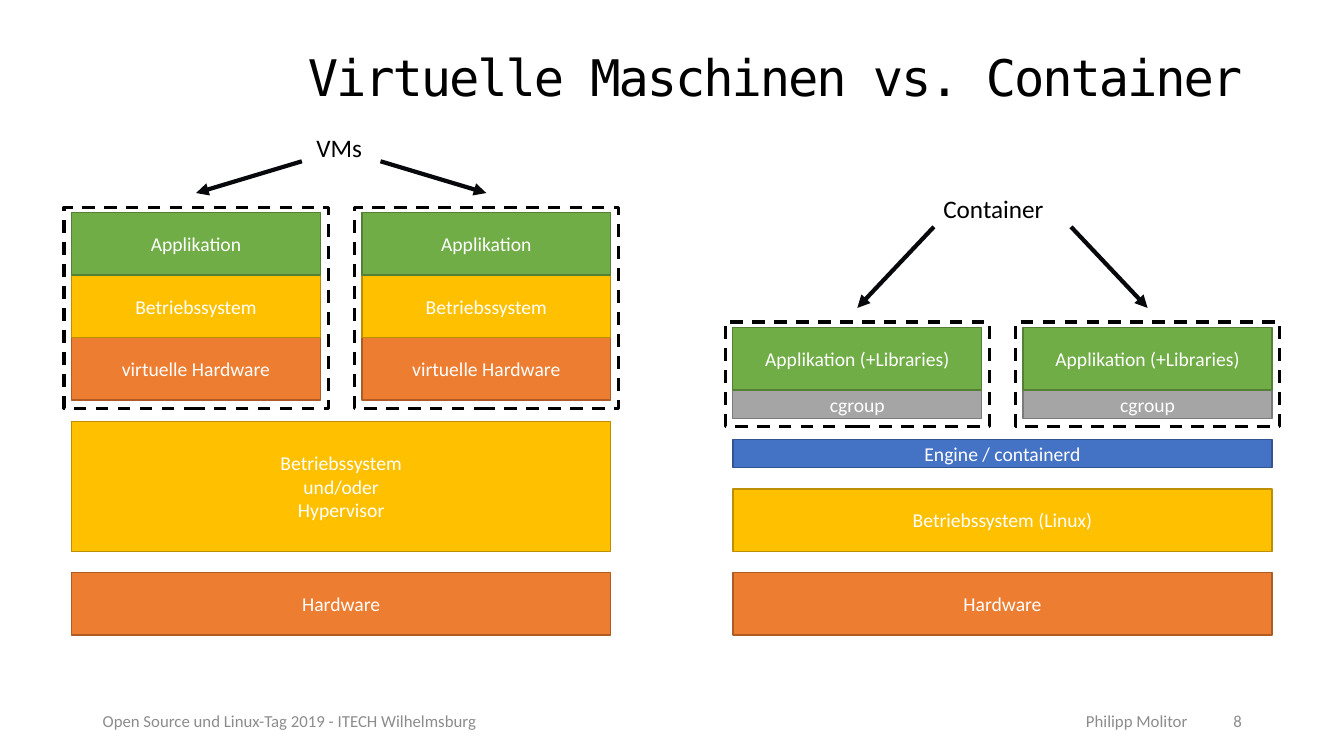
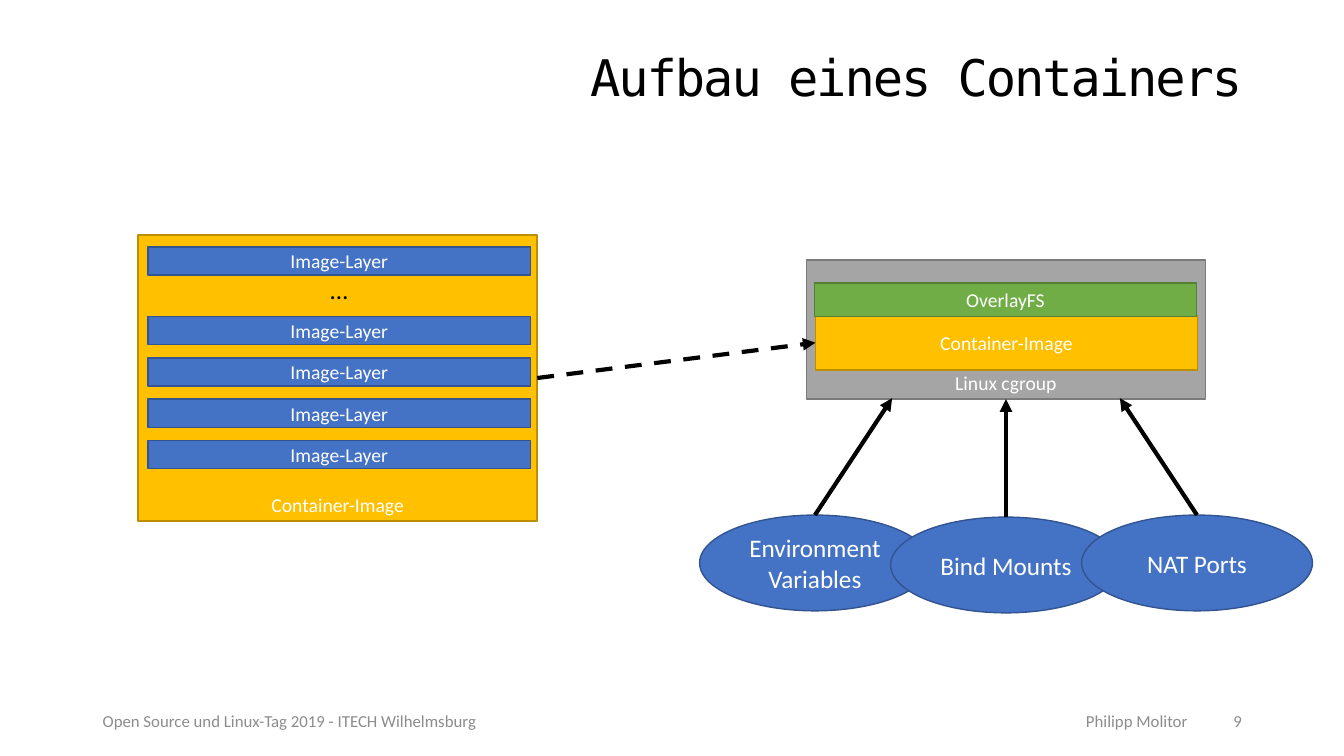
from dataclasses import dataclass
from typing import NamedTuple, Optional, Union

from lxml import etree
from pptx import Presentation, util as u
from pptx.dml.color import RGBColor
from pptx.enum import dml, shapes, text
from pptx.oxml.ns import qn


# Theme
class Paint(NamedTuple):
    fill: str
    edge: str


@dataclass(frozen=True)
class Theme:
    body_font: str = "Calibri"
    title_font: str = "DejaVu Sans Mono"
    black: str = "000000"
    arrow: str = "07080B"
    muted: str = "8C8C8C"
    white: str = "FFFFFF"
    orange: Paint = Paint("ED7D31", "AF5C24")
    yellow: Paint = Paint("FFC000", "BD8E00")
    green: Paint = Paint("70AD47", "538035")
    grey: Paint = Paint("A5A5A5", "7A7A7A")
    blue: Paint = Paint("4472C4", "325491")
    title_size: float = 36
    label_size: float = 18
    block_size: float = 14
    footer_size: float = 12


THEME = Theme()

# Grid: 133.33 columns by 75 rows of square cells
CELL = u.Inches(0.1)
COLUMNS, ROWS = 133.33, 75


def cells(count: float) -> int:
    return round(count * CELL)


class Box(NamedTuple):
    column: float
    row: float
    width: float
    height: float

    def lengths(self) -> list[int]:
        return [cells(value) for value in self]


class Point(NamedTuple):
    column: float
    row: float


class Joint(NamedTuple):
    shape: object
    site: int


TOP, LEFT, BOTTOM, RIGHT = range(4)
TITLE_BOX = Box(9.2, 4, 115, 7.9)
ALIGN = text.PP_ALIGN
ANCHOR = text.MSO_ANCHOR


class FooterPart(NamedTuple):
    wording: str
    column: float
    width: float
    align: ALIGN


# Drawing functions
def write(shape, wording: str, size: float, color: str, align: ALIGN,
          anchor: ANCHOR, font: str = THEME.body_font):
    frame = shape.text_frame
    frame.word_wrap = True
    frame.auto_size = text.MSO_AUTO_SIZE.NONE
    frame.vertical_anchor = anchor
    paragraph = frame.paragraphs[0]
    paragraph.alignment = align
    for index, line in enumerate(wording.split("\n")):
        if index:
            paragraph.add_line_break()
        run = paragraph.add_run()
        run.text = line
        run.font.name = font
        run.font.size = u.Pt(size)
        run.font.color.rgb = RGBColor.from_string(color)
    return paragraph


def add_label(slide, wording: str, box: Box, size: float = THEME.label_size,
              color: str = THEME.black, align: ALIGN = ALIGN.LEFT,
              anchor: ANCHOR = ANCHOR.TOP) -> None:
    write(slide.shapes.add_textbox(*box.lengths()), wording, size, color, align, anchor)


def add_block(slide, wording: str, box: Box, paint: Paint,
              size: float = THEME.block_size, anchor: ANCHOR = ANCHOR.MIDDLE,
              kind=shapes.MSO_SHAPE.RECTANGLE):
    shape = slide.shapes.add_shape(kind, *box.lengths())
    shape.shadow.inherit = False
    shape.fill.solid()
    shape.fill.fore_color.rgb = RGBColor.from_string(paint.fill)
    shape.line.color.rgb = RGBColor.from_string(paint.edge)
    shape.line.width = u.Pt(1)
    write(shape, wording, size, THEME.white, ALIGN.CENTER, anchor)
    return shape


def add_dashed_frame(slide, box: Box) -> None:
    shape = slide.shapes.add_shape(shapes.MSO_SHAPE.RECTANGLE, *box.lengths())
    shape.shadow.inherit = False
    shape.fill.background()
    shape.line.color.rgb = RGBColor.from_string(THEME.black)
    shape.line.width = u.Pt(2.25)
    shape.line.dash_style = dml.MSO_LINE.DASH


def add_arrow(slide, start: Union[Point, Joint], end: Union[Point, Joint],
              color: str = THEME.black, dashed: bool = False) -> None:
    arrow = slide.shapes.add_connector(shapes.MSO_CONNECTOR.STRAIGHT, 0, 0, 0, 0)
    if isinstance(start, Joint):
        arrow.begin_connect(start.shape, start.site)
    else:
        arrow.begin_x, arrow.begin_y = map(cells, start)
    if isinstance(end, Joint):
        arrow.end_connect(end.shape, end.site)
    else:
        arrow.end_x, arrow.end_y = map(cells, end)
    arrow.line.color.rgb = RGBColor.from_string(color)
    arrow.line.width = u.Pt(3)
    if dashed:
        arrow.line.dash_style = dml.MSO_LINE.DASH
    properties = arrow.element.spPr
    etree.SubElement(properties.find(qn("a:ln")), qn("a:tailEnd"), type="triangle")
    etree.SubElement(properties, qn("a:effectLst"))


# Title and footer shared by both slides
def add_slide(presentation, title: str, number: int):
    slide = presentation.slides.add_slide(presentation.slide_layouts[5])
    shape = slide.shapes.title
    shape.left, shape.top, shape.width, shape.height = TITLE_BOX.lengths()
    paragraph = write(shape, title, THEME.title_size, THEME.black, ALIGN.RIGHT,
                      ANCHOR.MIDDLE, THEME.title_font)
    paragraph.line_spacing = 0.9
    for run in paragraph.runs:
        run.font._element.set("spc", "-150")
    footer = (
        FooterPart("Open Source und Linux-Tag 2019 - ITECH Wilhelmsburg", 9.2, 53.8, ALIGN.LEFT),
        FooterPart("Philipp Molitor", 90.6, 28.2, ALIGN.RIGHT),
        FooterPart(str(number), 118.8, 5.4, ALIGN.RIGHT),
    )
    for part in footer:
        add_label(slide, part.wording, Box(part.column, 69.5, part.width, 4),
                  THEME.footer_size, THEME.muted, part.align, ANCHOR.MIDDLE)
    return slide


# Stacks of layers, built from the floor up
FLOOR = 63
TOWER_WIDTH, UNIT_WIDTH = 53.5, 24.7
FULL, SLIM, TALL = 6.2, 2.8, 12.9
LAYER_GAP = 2.1
FRAME_SIDE, FRAME_TOP, FRAME_BOTTOM = 0.75, 0.55, 0.8


class Layer(NamedTuple):
    wording: str
    paint: Paint
    height: float


@dataclass(frozen=True)
class Tower:
    column: float
    base: tuple[Layer, ...]
    unit: tuple[Layer, ...]
    label: str
    label_box: Box
    arrow_row: float
    arrow_spread: float


TOWERS = (
    Tower(7.1,
          (Layer("Hardware", THEME.orange, FULL),
           Layer("Betriebssystem\nund/oder\nHypervisor", THEME.yellow, TALL)),
          (Layer("virtuelle Hardware", THEME.orange, FULL),
           Layer("Betriebssystem", THEME.yellow, FULL),
           Layer("Applikation", THEME.green, FULL)),
          "VMs", Box(30.4, 12.6, 7, 4), 16, 3.9),
    Tower(72.7,
          (Layer("Hardware", THEME.orange, FULL),
           Layer("Betriebssystem (Linux)", THEME.yellow, FULL),
           Layer("Engine / containerd", THEME.blue, SLIM)),
          (Layer("cgroup", THEME.grey, SLIM),
           Layer("Applikation (+Libraries)", THEME.green, FULL)),
          "Container", Box(92.6, 18.7, 13.4, 4), 22.5, 6.8),
)


def draw_tower(slide, tower: Tower) -> None:
    row: float = FLOOR
    for layer in tower.base:
        row -= layer.height
        add_block(slide, layer.wording,
                  Box(tower.column, row, TOWER_WIDTH, layer.height), layer.paint)
        row -= LAYER_GAP
    unit_floor = row
    middle = tower.column + TOWER_WIDTH / 2
    add_label(slide, tower.label, tower.label_box)
    for side, column in ((-1, tower.column),
                         (1, tower.column + TOWER_WIDTH - UNIT_WIDTH)):
        row = unit_floor
        for layer in tower.unit:
            row -= layer.height
            add_block(slide, layer.wording,
                      Box(column, row, UNIT_WIDTH, layer.height), layer.paint)
        frame_row = row - FRAME_TOP
        add_dashed_frame(slide, Box(column - FRAME_SIDE, frame_row,
                                    UNIT_WIDTH + 2 * FRAME_SIDE,
                                    unit_floor + FRAME_BOTTOM - frame_row))
        add_arrow(slide, Point(middle + side * tower.arrow_spread, tower.arrow_row),
                  Point(column + UNIT_WIDTH / 2, frame_row - 1.4), THEME.arrow)


# Container structure
IMAGE_BOX = Box(13.7, 23.3, 39.6, 28.4)
CGROUP_BOX = Box(80, 25.8, 39.6, 13.8)
INNER_WIDTH = 37.9
LAYER_ROWS = (24.5, *(31.4 + 4.1 * index for index in range(4)))
INPUT_PITCH, ARROW_PITCH = 18.95, 11.3


class Resource(NamedTuple):
    wording: str
    row: float
    joint_site: Optional[int] = None


RESOURCES = (Resource("Environment Variables", 51.1),
             Resource("Bind Mounts", 51.3, BOTTOM),
             Resource("NAT Ports", 51.1))


def draw_container(slide) -> None:
    image = add_block(slide, "Container-Image", IMAGE_BOX, THEME.yellow,
                      anchor=ANCHOR.BOTTOM)
    cgroup = add_block(slide, "Linux cgroup", CGROUP_BOX, THEME.grey,
                       anchor=ANCHOR.BOTTOM)
    for row in LAYER_ROWS:
        add_block(slide, "Image-Layer", Box(14.7, row, INNER_WIDTH, SLIM), THEME.blue)
    add_label(slide, "…", Box(31.8, 26.7, 3.8, 4))
    mounted = add_block(slide, "Container-Image", Box(80.9, 31.3, INNER_WIDTH, 5.4),
                        THEME.yellow)
    add_block(slide, "OverlayFS", Box(80.8, 28.1, INNER_WIDTH, 3.3), THEME.green)

    # Resources feeding the cgroup from below
    middle = CGROUP_BOX.column + CGROUP_BOX.width / 2
    for index, resource in enumerate(RESOURCES):
        ellipse = add_block(slide, resource.wording,
                            Box(69.4 + index * INPUT_PITCH, resource.row, 22.9, 9.5),
                            THEME.blue, THEME.label_size, kind=shapes.MSO_SHAPE.OVAL)
        target = (Point(middle + (index - 1) * ARROW_PITCH, 39.5)
                  if resource.joint_site is None else Joint(cgroup, resource.joint_site))
        add_arrow(slide, Joint(ellipse, TOP), target)
    add_arrow(slide, Joint(image, RIGHT), Joint(mounted, LEFT), dashed=True)


def main() -> None:
    presentation = Presentation()
    presentation.slide_width = cells(COLUMNS)
    presentation.slide_height = cells(ROWS)
    comparison = add_slide(presentation, "Virtuelle Maschinen vs. Container", 8)
    for tower in TOWERS:
        draw_tower(comparison, tower)
    draw_container(add_slide(presentation, "Aufbau eines Containers", 9))
    presentation.save("out.pptx")


if __name__ == "__main__":
    main()
